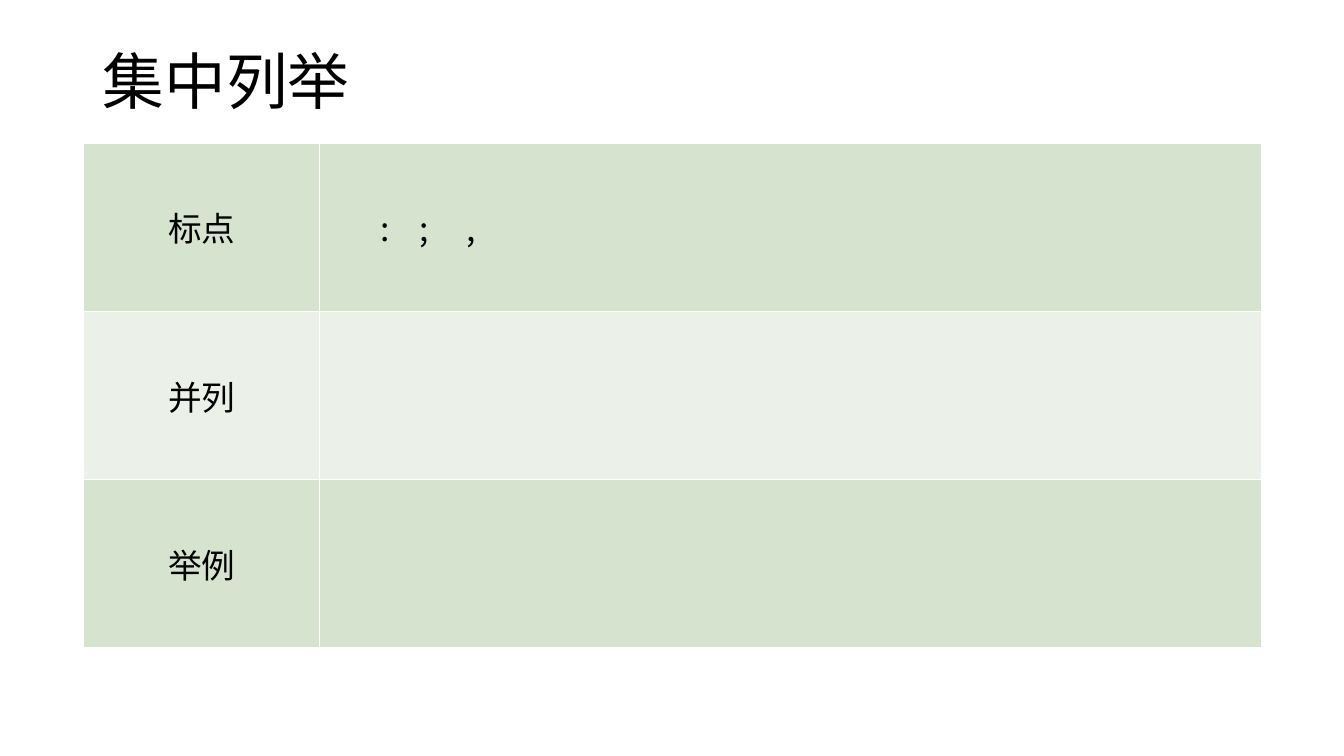
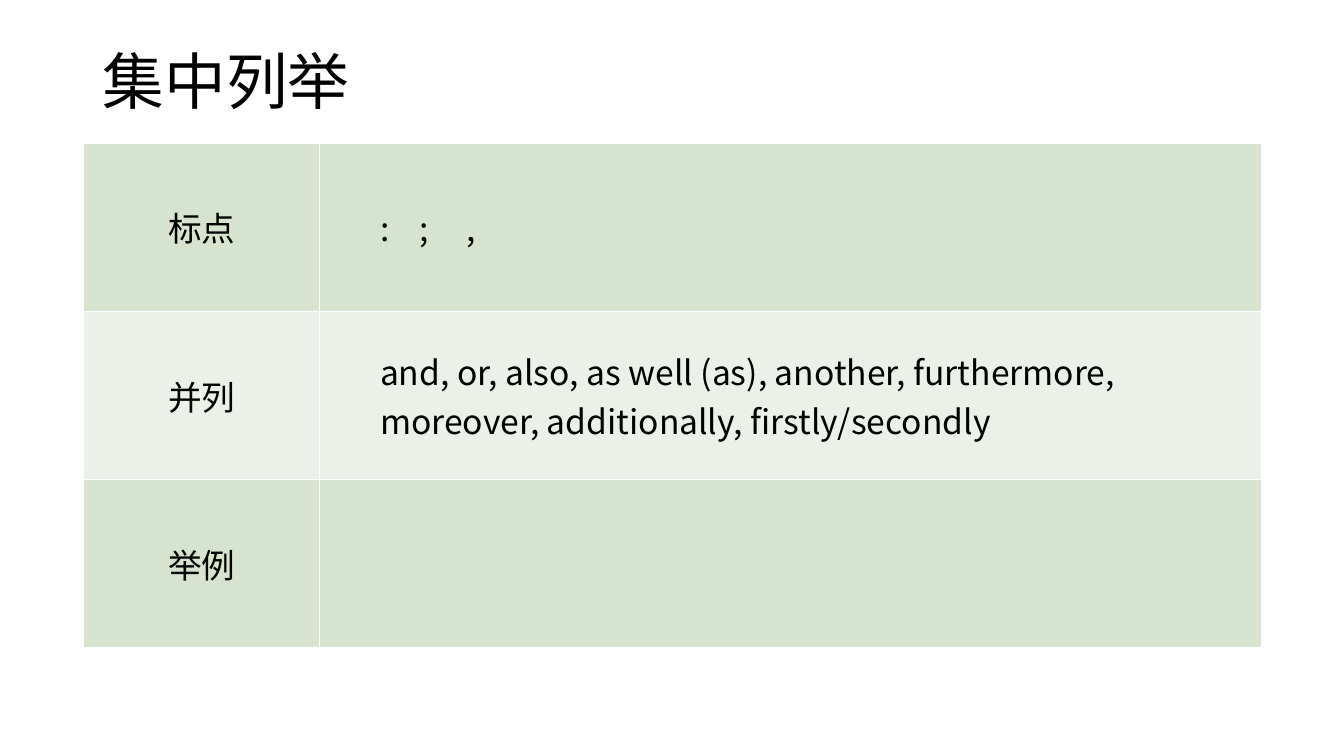
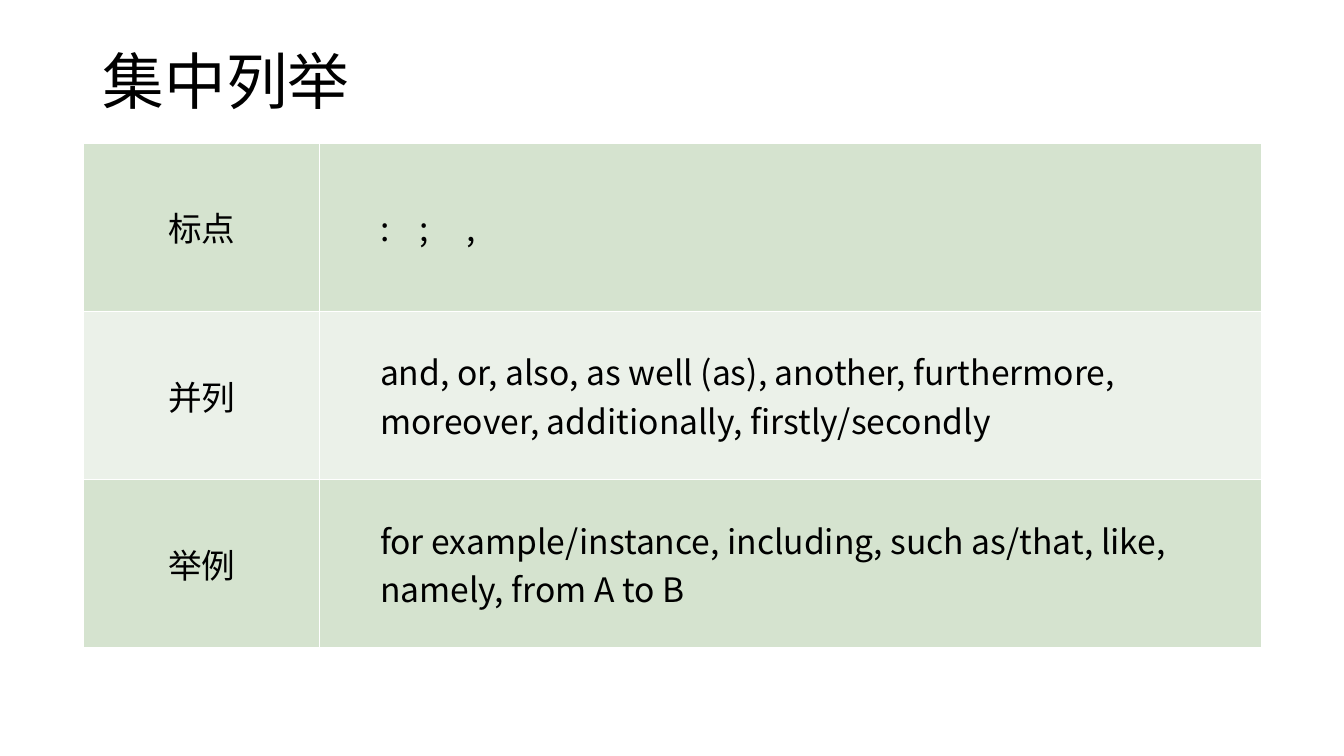
from lxml import etree
from pptx import Presentation
from pptx.dml.color import RGBColor
from pptx.enum.text import MSO_ANCHOR, MSO_AUTO_SIZE, PP_ALIGN
from pptx.oxml.ns import qn
from pptx.util import Inches, Pt

TITLE = "集中列举"
CATEGORIES = [
    ("标点", ":\t;\t,"),
    ("并列", "and, or, also, as well (as), another, furthermore, "
             "moreover, additionally, firstly/secondly"),
    ("举例", "for example/instance, including, such as/that, like, "
             "namely, from A to B"),
]
# Number of categories explained on each successive slide
REVEALED = (1, 2, 3)

FONT = "Noto Sans CJK SC"
BLACK = RGBColor(0x00, 0x00, 0x00)
BANDS = (RGBColor(0xD5, 0xE3, 0xCF), RGBColor(0xEB, 0xF1, 0xE9))
BORDER = RGBColor(0xFF, 0xFF, 0xFF)

LEFT, CENTER = PP_ALIGN.LEFT, PP_ALIGN.CENTER
MIDDLE = MSO_ANCHOR.MIDDLE
NO_AUTOFIT = MSO_AUTO_SIZE.NONE

COLUMN_WIDTHS = (Inches(2.34), Inches(9.34))
ROW_HEIGHT = Inches(1.67)
WORDS_INDENT = Inches(0.6)
MARK_STOPS = (Inches(0.39), Inches(0.86))


def style_paragraph(paragraph, size, alignment):
    paragraph.alignment = alignment
    font = paragraph.font
    font.size = Pt(size)
    font.color.rgb = BLACK
    font.name = FONT
    properties = paragraph._p.pPr.find(qn("a:defRPr"))
    etree.SubElement(properties, qn("a:ea"), typeface=FONT)


def add_tab_stops(paragraph, positions):
    stops = etree.Element(qn("a:tabLst"))
    for position in positions:
        etree.SubElement(stops, qn("a:tab"), pos=str(position), algn="l")
    paragraph._p.pPr.find(qn("a:defRPr")).addprevious(stops)


def add_borders(cell):
    properties = cell._tc.get_or_add_tcPr()
    for side in ("lnL", "lnR", "lnT", "lnB"):
        line = etree.SubElement(properties, qn(f"a:{side}"), w=str(Pt(1)))
        fill = etree.SubElement(line, qn("a:solidFill"))
        etree.SubElement(fill, qn("a:srgbClr"), val=str(BORDER))


def fill_cell(cell, text, band, alignment):
    add_borders(cell)
    cell.fill.solid()
    cell.fill.fore_color.rgb = band
    cell.vertical_anchor = MIDDLE
    cell.text = text
    paragraph = cell.text_frame.paragraphs[0]
    style_paragraph(paragraph, 24, alignment)
    if "\t" in text:
        add_tab_stops(paragraph, MARK_STOPS)


def add_title(slide):
    title = slide.shapes.title
    title.left, title.top = Inches(0.92), Inches(0.4)
    title.width, title.height = Inches(11.5), Inches(0.87)
    frame = title.text_frame
    frame.text = TITLE
    frame.auto_size = NO_AUTOFIT
    frame.vertical_anchor = MIDDLE
    paragraph = frame.paragraphs[0]
    paragraph.line_spacing = 0.9
    style_paragraph(paragraph, 44, LEFT)


def add_category_table(slide, revealed):
    table = slide.shapes.add_table(
        len(CATEGORIES), len(COLUMN_WIDTHS), Inches(0.83), Inches(1.42),
        sum(COLUMN_WIDTHS), ROW_HEIGHT * len(CATEGORIES)).table
    table.first_row = table.horz_banding = False
    for column, width in zip(table.columns, COLUMN_WIDTHS):
        column.width = width
    for index, (category, words) in enumerate(CATEGORIES):
        table.rows[index].height = ROW_HEIGHT
        band = BANDS[index % len(BANDS)]
        fill_cell(table.cell(index, 0), category, band, CENTER)
        words_cell = table.cell(index, 1)
        words_cell.margin_left = WORDS_INDENT
        fill_cell(words_cell, words if index < revealed else "", band, LEFT)


def main():
    deck = Presentation()
    deck.slide_width, deck.slide_height = Inches(13.33), Inches(7.5)
    title_only = deck.slide_layouts[5]
    for revealed in REVEALED:
        slide = deck.slides.add_slide(title_only)
        add_title(slide)
        add_category_table(slide, revealed)
    deck.save("out.pptx")


if __name__ == "__main__":
    main()
